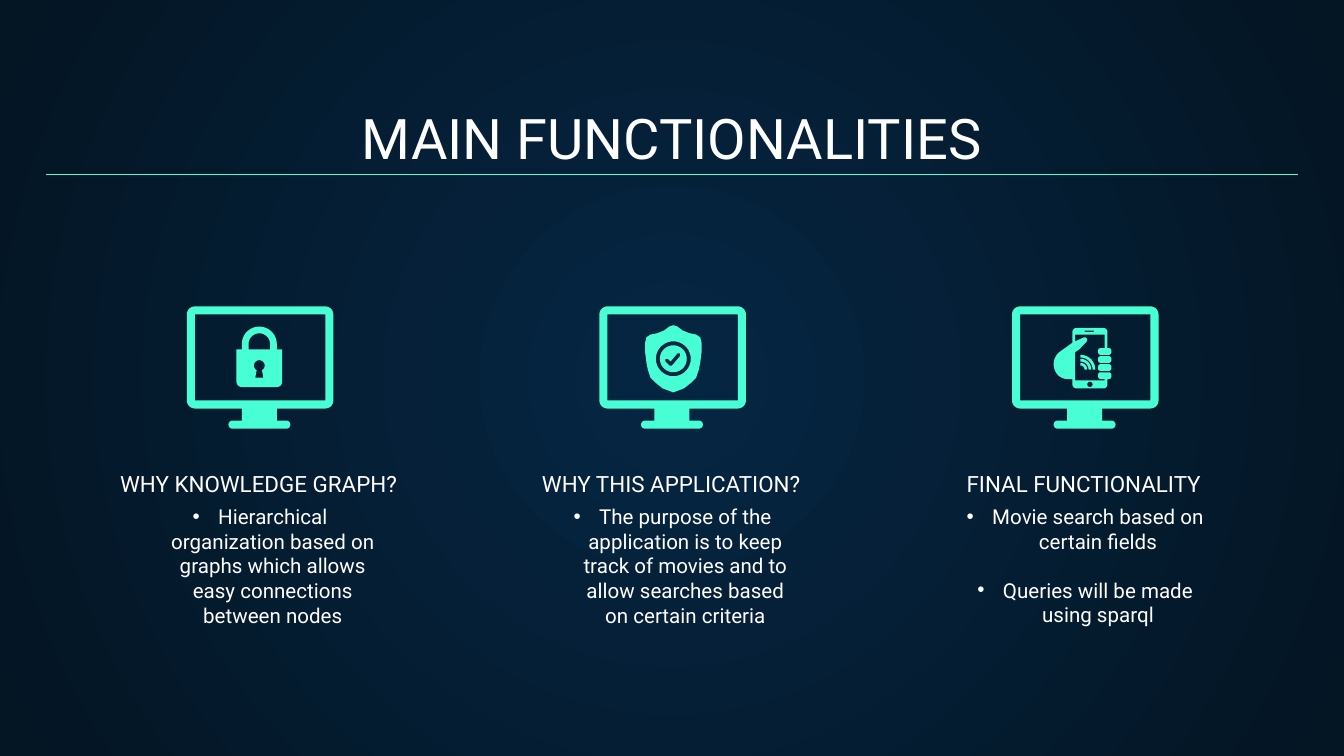
import math

from lxml import etree
from pptx import Presentation
from pptx import util as u
from pptx.dml.color import RGBColor
from pptx.enum import shapes, text
from pptx.oxml.ns import qn

WHITE = RGBColor(0xFF, 0xFF, 0xFF)
MINT = RGBColor(0x48, 0xFF, 0xD5)
NAVY = RGBColor(0x05, 0x26, 0x43)
MIDNIGHT = RGBColor(0x04, 0x15, 0x23)
FONT = "Roboto"
SLIDE_WIDTH = 10
SLIDE_HEIGHT = SLIDE_WIDTH * 9 / 16
COLUMN_LEFT, COLUMN_TOP, COLUMN_PITCH = 0.79, 2.28, 3.07


def arc(x, y, radius, start, end, radius_y=None):
    radius_y = radius_y or radius
    steps = max(4, abs(end - start) // 10)
    angles = [math.radians(start + (end - start) * i / steps) for i in range(steps + 1)]
    return [(x + radius * math.cos(a), y + radius_y * math.sin(a)) for a in angles]


def rounded(left, top, width, height, radius):
    right, bottom = left + width - radius, top + height - radius
    left, top = left + radius, top + radius
    return (arc(left, top, radius, 180, 270) + arc(right, top, radius, 270, 360)
            + arc(right, bottom, radius, 0, 90) + arc(left, bottom, radius, 90, 180))


def rectangle(left, top, right, bottom):
    return [(left, top), (right, top), (right, bottom), (left, bottom)]


def monitor():
    outline = (
        arc(0.06, 0.06, 0.06, 180, 270) + arc(1.03, 0.06, 0.06, 270, 360)
        + arc(1.03, 0.70, 0.06, 0, 90) + [(0.67, 0.76), (0.67, 0.85)]
        + arc(0.74, 0.88, 0.03, 270, 450) + arc(0.34, 0.88, 0.03, 90, 270)
        + [(0.41, 0.85), (0.41, 0.76)] + arc(0.06, 0.70, 0.06, 90, 180)
    )
    return [outline, rectangle(0.06, 0.06, 1.03, 0.70)]


def padlock():
    body = (
        arc(0.17, 0.13, 0.13, 180, 360) + [(0.30, 0.17), (0.34, 0.17)]
        + arc(0.30, 0.41, 0.04, 0, 90) + arc(0.04, 0.41, 0.04, 90, 180)
        + [(0, 0.17), (0.04, 0.17)]
    )
    shackle_gap = arc(0.17, 0.13, 0.08, 180, 360) + [(0.25, 0.17), (0.09, 0.17)]
    keyhole = arc(0.17, 0.29, 0.04, 120, 420) + [(0.20, 0.38), (0.14, 0.38)]
    return [body, shackle_gap, keyhole]


def shield():
    half = [(0, 0), (0.03, 0.01), (0.07, 0.04), (0.12, 0.06), (0.17, 0.07), (0.2, 0.09),
            (0.21, 0.13), (0.21, 0.2), (0.2, 0.28), (0.19, 0.33), (0.17, 0.39),
            (0.13, 0.43), (0.08, 0.47), (0, 0.5)]
    edge = [(0.22 + x, y) for x, y in half] + [(0.22 - x, y) for x, y in half[-2:0:-1]]
    check = [(0.16, 0.25), (0.18, 0.25), (0.20, 0.27), (0.25, 0.21), (0.27, 0.21),
             (0.27, 0.23), (0.21, 0.30), (0.19, 0.30), (0.16, 0.27)]
    return [edge, arc(0.22, 0.25, 0.13, 0, 360), arc(0.22, 0.25, 0.1, 0, 360), check]


def phone_in_hand():
    outline = (
        arc(0.17, 0.03, 0.03, 180, 270) + arc(0.37, 0.03, 0.03, 270, 360)
        + [(0.40, 0.15), (0.38, 0.15), (0.38, 0.05), (0.16, 0.05), (0.16, 0.10)]
        + arc(0.23, 0.09, 0.02, 240, 390)
        + [(0.19, 0.16), (0.16, 0.18), (0.16, 0.39), (0.38, 0.39), (0.38, 0.38), (0.40, 0.38)]
        + arc(0.37, 0.42, 0.03, 0, 90) + arc(0.17, 0.42, 0.03, 90, 180)
        + [(0.14, 0.38)] + arc(0.10, 0.27, 0.10, 90, 240, 0.11) + [(0.14, 0.11)]
    )
    fingers = [rounded(0.33, 0.15 + 0.06 * i, 0.10, 0.05, 0.02) for i in range(4)]
    waves = [arc(0.20, 0.31, r, 270, 360) + arc(0.20, 0.31, r - 0.02, 360, 270)
             for r in (0.11, 0.08, 0.05)]
    speaker = rectangle(0.23, 0.02, 0.30, 0.03)
    button = arc(0.27, 0.42, 0.02, 0, 360)
    return [outline, speaker, button] + fingers + waves


def add_icon(slide, contours, left, top):
    contours = [[(u.Inches(x), u.Inches(y)) for x, y in contour] for contour in contours]
    builder = slide.shapes.build_freeform(*contours[0][0])
    builder.add_line_segments(contours[0][1:], close=True)
    for contour in contours[1:]:
        builder.move_to(*contour[0])
        builder.add_line_segments(contour[1:], close=True)
    shape = builder.convert_to_shape(u.Inches(left), u.Inches(top))
    shape.shadow.inherit = False
    shape.fill.solid()
    shape.fill.fore_color.rgb = MINT
    shape.line.fill.background()


def place_text(shape, box, paragraphs, size, anchor):
    shape.left, shape.top, shape.width, shape.height = map(u.Inches, box)
    frame = shape.text_frame
    frame.word_wrap = True
    frame.auto_size = text.MSO_AUTO_SIZE.NONE
    frame.vertical_anchor = anchor
    frame.margin_left = frame.margin_right = u.Inches(0.1)
    frame.margin_top = frame.margin_bottom = u.Inches(0.1)
    frame.text = "\n".join(paragraphs)
    for paragraph in frame.paragraphs:
        paragraph.alignment = text.PP_ALIGN.CENTER
        paragraph.space_before = u.Pt(0)
        for run in paragraph.runs:
            run.font.name = FONT
            run.font.size = u.Pt(size)
            run.font.bold = False
            run.font.color.rgb = WHITE


def add_bullet(paragraph):
    properties = paragraph._p.get_or_add_pPr()
    properties.set("marL", str(u.Inches(0.19)))
    properties.set("indent", str(-u.Inches(0.19)))
    color = etree.SubElement(properties, qn("a:buClr"))
    etree.SubElement(color, qn("a:srgbClr"), val=str(WHITE))
    etree.SubElement(properties, qn("a:buChar"), char="•")


def paint_background(slide):
    fill = slide.background.fill
    fill.gradient()
    for stop, color, position in zip(fill.gradient_stops, (NAVY, MIDNIGHT), (0, 1)):
        stop.color.rgb = color
        stop.position = position
    gradient = slide.element.find(".//" + qn("a:gradFill"))
    gradient.remove(gradient.find(qn("a:lin")))
    circle = etree.SubElement(gradient, qn("a:path"), path="circle")
    etree.SubElement(circle, qn("a:fillToRect"),
                     {side: "50000" for side in ("l", "t", "r", "b")})


def add_header(slide, left, top, width):
    place_text(slide.shapes.title, (left, top, width, 0.66), ["MAIN FUNCTIONALITIES"],
               30, text.MSO_ANCHOR.BOTTOM)
    rule = slide.shapes.add_connector(
        shapes.MSO_CONNECTOR.STRAIGHT, u.Inches(left), u.Inches(top + 0.59),
        u.Inches(left + width), u.Inches(top + 0.59))
    rule.line.color.rgb = MINT
    rule.line.width = u.Pt(0.75)
    etree.SubElement(rule._element.spPr, qn("a:effectLst"))


def add_column(slide, body, left, top, heading, items, symbol, offset):
    add_icon(slide, monitor(), left + 0.6, top)
    add_icon(slide, symbol, left + offset[0], top + offset[1])
    title = slide.shapes.add_textbox(0, 0, 0, 0)
    place_text(title, (left, top + 1.2, 2.27, 0.32), [heading], 12, text.MSO_ANCHOR.BOTTOM)
    place_text(body, (left + 0.11, top + 1.37, 2.07, 1.24), items, 11, text.MSO_ANCHOR.TOP)
    paragraphs = body.text_frame.paragraphs
    for paragraph in paragraphs[:-1]:
        paragraph.space_after = u.Pt(13)
    for paragraph in paragraphs:
        add_bullet(paragraph)


def main():
    presentation = Presentation()
    presentation.slide_width = u.Inches(SLIDE_WIDTH)
    presentation.slide_height = u.Inches(SLIDE_HEIGHT)
    slide = presentation.slides.add_slide(presentation.slide_layouts.get_by_name("Comparison"))
    paint_background(slide)
    add_header(slide, 0.34, 0.71, 9.32)
    columns = [
        ("WHY KNOWLEDGE GRAPH?",
         ["Hierarchical organization based on graphs which allows easy connections between nodes"],
         padlock(), (0.97, 0.15)),
        ("WHY THIS APPLICATION?",
         ["The purpose of the application is to keep track of movies and to allow searches "
          "based on certain criteria"],
         shield(), (0.93, 0.14)),
        ("FINAL FUNCTIONALITY",
         ["Movie search based on certain fields", "Queries will be made using sparql"],
         phone_in_hand(), (0.91, 0.16)),
    ]
    bodies = list(slide.placeholders)[1:]
    for index, (body, column) in enumerate(zip(bodies, columns)):
        add_column(slide, body, COLUMN_LEFT + index * COLUMN_PITCH, COLUMN_TOP, *column)
    for spare in bodies[len(columns):]:
        spare.element.getparent().remove(spare.element)
    presentation.save("out.pptx")


if __name__ == "__main__":
    main()
